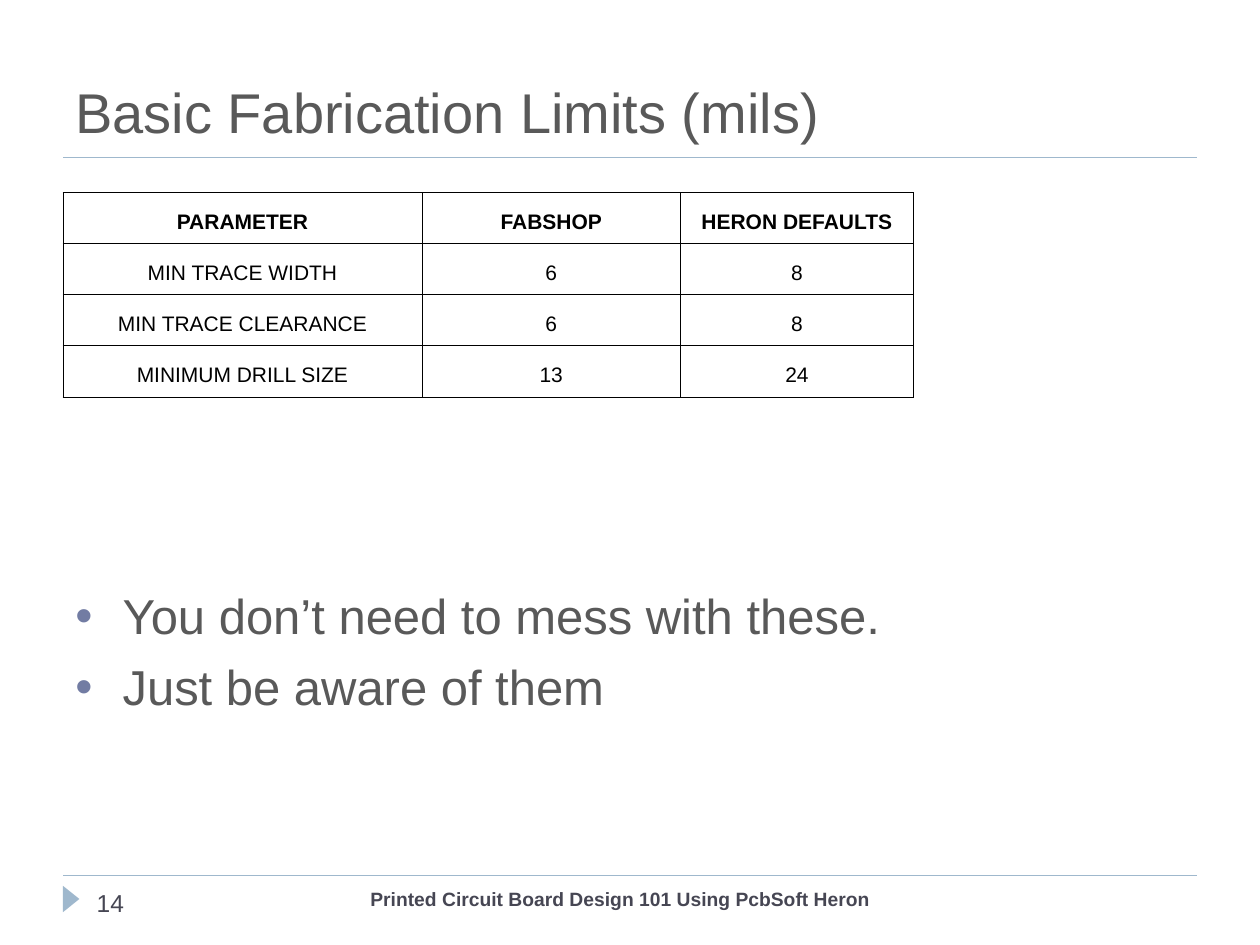
from dataclasses import dataclass

from lxml.etree import SubElement
from pptx import Presentation
from pptx.dml.color import RGBColor
from pptx.enum.shapes import MSO_CONNECTOR, MSO_SHAPE
from pptx.enum.text import MSO_ANCHOR, PP_ALIGN
from pptx.oxml.ns import qn
from pptx.util import Pt


@dataclass(frozen=True)
class Theme:
    font: str = "Arial"
    text: str = "595959"
    footer: str = "464653"
    accent: str = "9FB8CD"
    bullet: str = "727CA3"
    table: str = "000000"
    title_size: float = 32
    body_size: float = 28
    number_size: float = 14
    table_size: float = 12
    footer_size: float = 11


theme = Theme()


def add_span(para, text, size, color, bold=False):
    span = para.add_run()
    span.text = text
    span.font.name = theme.font
    span.font.size = Pt(size)
    span.font.bold = bold
    span.font.color.rgb = RGBColor.from_string(color)


def add_box(left, top, width, height, anchor=MSO_ANCHOR.TOP):
    box = slide.shapes.add_textbox(Pt(left), Pt(top), Pt(width), Pt(height))
    frame = box.text_frame
    frame.word_wrap = True
    frame.vertical_anchor = anchor
    frame.margin_left = frame.margin_right = Pt(7.2)
    frame.margin_top = frame.margin_bottom = Pt(7.2)
    return frame


deck = Presentation()
deck.slide_width, deck.slide_height = Pt(720), Pt(540)
slide = deck.slides.add_slide(deck.slide_layouts[6])

# Rules above the footer and under the title
for y in (500.4, 90):
    rule = slide.shapes.add_connector(
        MSO_CONNECTOR.STRAIGHT, Pt(36), Pt(y), Pt(684), Pt(y))
    rule.line.color.rgb = RGBColor.from_string(theme.accent)
    rule.line.width = Pt(0.75)
    SubElement(rule._element.spPr, qn("a:effectLst"))

# Page marker
marker = slide.shapes.add_shape(
    MSO_SHAPE.ISOSCELES_TRIANGLE, Pt(33.1), Pt(509), Pt(15.1), Pt(9.4))
marker.rotation = 90
marker.shadow.inherit = False
marker.fill.solid()
marker.fill.fore_color.rgb = RGBColor.from_string(theme.accent)
marker.line.fill.background()

# Footer and page number
para = add_box(204.5, 500.4, 300.2, 28.8).paragraphs[0]
para.alignment = PP_ALIGN.CENTER
add_span(para, "Printed Circuit Board Design 101 Using PcbSoft Heron",
         theme.footer_size, theme.footer, bold=True)
para = add_box(48.2, 500.4, 156.2, 28.8).paragraphs[0]
add_span(para, "14", theme.number_size, theme.footer)

# Title
para = add_box(36, 12.2, 648, 77.8, MSO_ANCHOR.BOTTOM).paragraphs[0]
add_span(para, "Basic Fabrication Limits (mils)", theme.title_size, theme.text)

# Bullets
frame = add_box(36, 324.7, 648, 161.3)
frame.margin_top = Pt(10)
points = ["You don’t need to mess with these.", "Just be aware of them"]
for index, point in enumerate(points):
    para = frame.add_paragraph() if index else frame.paragraphs[0]
    if index:
        para.space_before = Pt(7)
    properties = para._p.get_or_add_pPr()
    properties.set("marL", str(Pt(27)))
    properties.set("indent", str(-Pt(27)))
    color = SubElement(properties, qn("a:buClr"))
    SubElement(color, qn("a:srgbClr"), val=theme.bullet)
    SubElement(properties, qn("a:buFont"), typeface=theme.font)
    SubElement(properties, qn("a:buChar"), char="•")
    add_span(para, point, theme.body_size, theme.text)

# Table of limits
limits = [
    ("PARAMETER", "FABSHOP", "HERON DEFAULTS"),
    ("MIN TRACE WIDTH", "6", "8"),
    ("MIN TRACE CLEARANCE", "6", "8"),
    ("MINIMUM DRILL SIZE", "13", "24"),
]
widths = (205.2, 147.6, 133.2)
row_height = 29.2
table = slide.shapes.add_table(
    len(limits), len(widths), Pt(36), Pt(110), Pt(sum(widths)),
    Pt(row_height * len(limits))).table
table.first_row = table.horz_banding = False
for column, width in zip(table.columns, widths):
    column.width = Pt(width)
for row_index, values in enumerate(limits):
    table.rows[row_index].height = Pt(row_height)
    for column_index, value in enumerate(values):
        cell = table.cell(row_index, column_index)
        cell.margin_left = cell.margin_right = Pt(7.2)
        cell.margin_top = cell.margin_bottom = Pt(3.6)
        properties = cell._tc.get_or_add_tcPr()
        for side in ("a:lnL", "a:lnR", "a:lnT", "a:lnB"):
            border = SubElement(properties, qn(side), w=str(Pt(0.45)))
            paint = SubElement(border, qn("a:solidFill"))
            SubElement(paint, qn("a:srgbClr"), val=theme.table)
        cell.fill.background()
        para = cell.text_frame.paragraphs[0]
        para.alignment = PP_ALIGN.CENTER
        para.line_spacing = 1.5
        add_span(para, value, theme.table_size, theme.table,
                 bold=row_index == 0)

deck.save("out.pptx")
